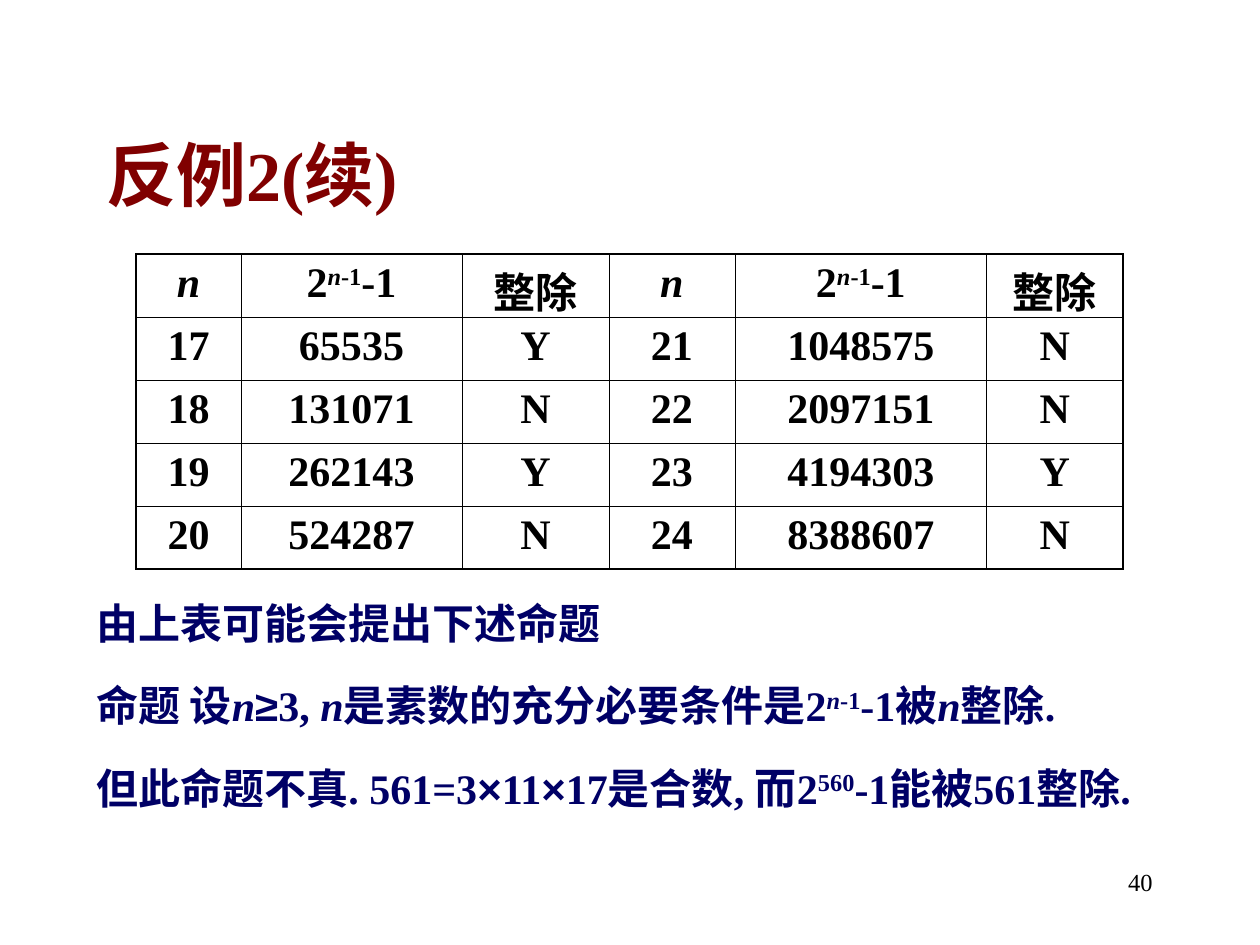
"""Build the slide with the second counterexample on primes."""
from dataclasses import dataclass

from lxml import etree
from pptx import Presentation
from pptx.dml.color import RGBColor
from pptx.enum.text import MSO_ANCHOR, PP_ALIGN
from pptx.oxml.ns import qn
from pptx.util import Pt

PX = 914400 // 126
LEFT, MID, RIGHT = PP_ALIGN.LEFT, PP_ALIGN.CENTER, PP_ALIGN.RIGHT
TOP, CENTER = MSO_ANCHOR.TOP, MSO_ANCHOR.MIDDLE


@dataclass(frozen=True)
class Theme:
    """Colours, fonts, type sizes and line widths."""
    black: str = "000000"
    white: str = "FFFFFF"
    red: str = "800000"
    navy: str = "000066"
    font: str = "Times New Roman"
    sign: str = "Arial"
    big: int = 40
    text: int = 24
    small: int = 14
    thin: float = 0.45
    thick: float = 1.08


THEME = Theme()
N = ("n", "i")
POWER = [("2", ""), ("n", "is"), ("-1", "s"), ("-1", "")]
HEAD = [[N], POWER, [("整除", "")]] * 2
ROWS = [
    ("17", "65535", "Y", "21", "1048575", "N"),
    ("18", "131071", "N", "22", "2097151", "N"),
    ("19", "262143", "Y", "23", "4194303", "Y"),
    ("20", "524287", "N", "24", "8388607", "N"),
]
COLS = (105, 221, 147, 126, 252, 136)
CLAIMS = [
    [("由上表可能会提出下述命题", "")],
    [("命题 设", ""), N, ("≥", "a"), ("3, ", ""), N, ("是素数的充分必要条件是", ""),
     *POWER[:-1], ("-1被", ""), N, ("整除.", "")],
    [("但此命题不真. 561=3", ""), ("×", "a"), ("11", ""), ("×", "a"),
     ("17是合数, 而2", ""), ("560", "s"), ("-1能被561整除.", "")],
]


def write(para, runs, size, color, bold=True, align=LEFT):
    """Fill a paragraph; run marks are i italic, s superscript, a sign font."""
    para.alignment = align
    font = para.font
    font.name, font.size, font.bold = THEME.font, Pt(size), bold
    font.color.rgb = RGBColor.from_string(color)
    for text, marks in runs:
        run = para.add_run()
        run.text = text
        if "i" in marks:
            run.font.italic = True
        if "s" in marks:
            run.font._element.set("baseline", "30000")
        if "a" in marks:
            run.font.name = THEME.sign


def frame(slide, box, anchor=TOP):
    """Add a wrapping text box and return its text frame."""
    area = slide.shapes.add_textbox(*(v * PX for v in box)).text_frame
    area.word_wrap = True
    area.vertical_anchor = anchor
    return area


def title(slide, box):
    """Place the heading."""
    para = frame(slide, box, CENTER).paragraphs[0]
    write(para, [("反例2(续)", "")], THEME.big, THEME.red)


def folio(slide, box):
    """Place the page number."""
    para = frame(slide, box).paragraphs[0]
    write(para, [("40", "")], THEME.small, THEME.black, False, RIGHT)


def claims(slide, box):
    """Place the statements with hanging indents."""
    area = frame(slide, box)
    for i, runs in enumerate(CLAIMS):
        para = area.add_paragraph() if i else area.paragraphs[0]
        props = para._p.get_or_add_pPr()
        props.set("marL", str(48 * PX))
        props.set("indent", str(-48 * PX))
        para.line_spacing = 0.8
        if i:
            para.space_before = Pt(24)
        write(para, runs, THEME.text, THEME.navy)


def border(cell, edges):
    """Rule the four sides of a cell, thick where it meets the table edge."""
    props = cell._tc.get_or_add_tcPr()
    for side, edge in zip("LRTB", edges):
        width = Pt(THEME.thick if edge else THEME.thin)
        line = etree.SubElement(props, qn(f"a:ln{side}"), w=str(int(width)))
        fill = etree.SubElement(line, qn("a:solidFill"))
        etree.SubElement(fill, qn("a:srgbClr"), val=THEME.black)


def grid(slide, box):
    """Place the table of powers."""
    data = HEAD, *([[(text, "")] for text in row] for row in ROWS)
    high, wide = len(data), len(COLS)
    table = slide.shapes.add_table(high, wide, *(v * PX for v in box)).table
    table.first_row = table.horz_banding = False
    for col, width in zip(table.columns, COLS):
        col.width = width * PX
    for r, row in enumerate(data):
        table.rows[r].height = box[3] * PX // high
        for c, runs in enumerate(row):
            cell = table.cell(r, c)
            border(cell, (c == 0, c == wide - 1, r == 0, r == high - 1))
            cell.fill.solid()
            cell.fill.fore_color.rgb = RGBColor.from_string(THEME.white)
            para = cell.text_frame.paragraphs[0]
            write(para, runs, THEME.text, THEME.black, align=MID)


def main():
    """Build and save the deck."""
    deck = Presentation()
    deck.slide_width, deck.slide_height = 1260 * PX, 945 * PX
    slide = deck.slides.add_slide(deck.slide_layouts[6])
    folio(slide, (903, 861, 262, 63))
    title(slide, (94, 84, 1071, 179))
    claims(slide, (84, 601, 1071, 260))
    grid(slide, (136, 254, sum(COLS), 315))
    deck.save("out.pptx")


if __name__ == "__main__":
    main()
